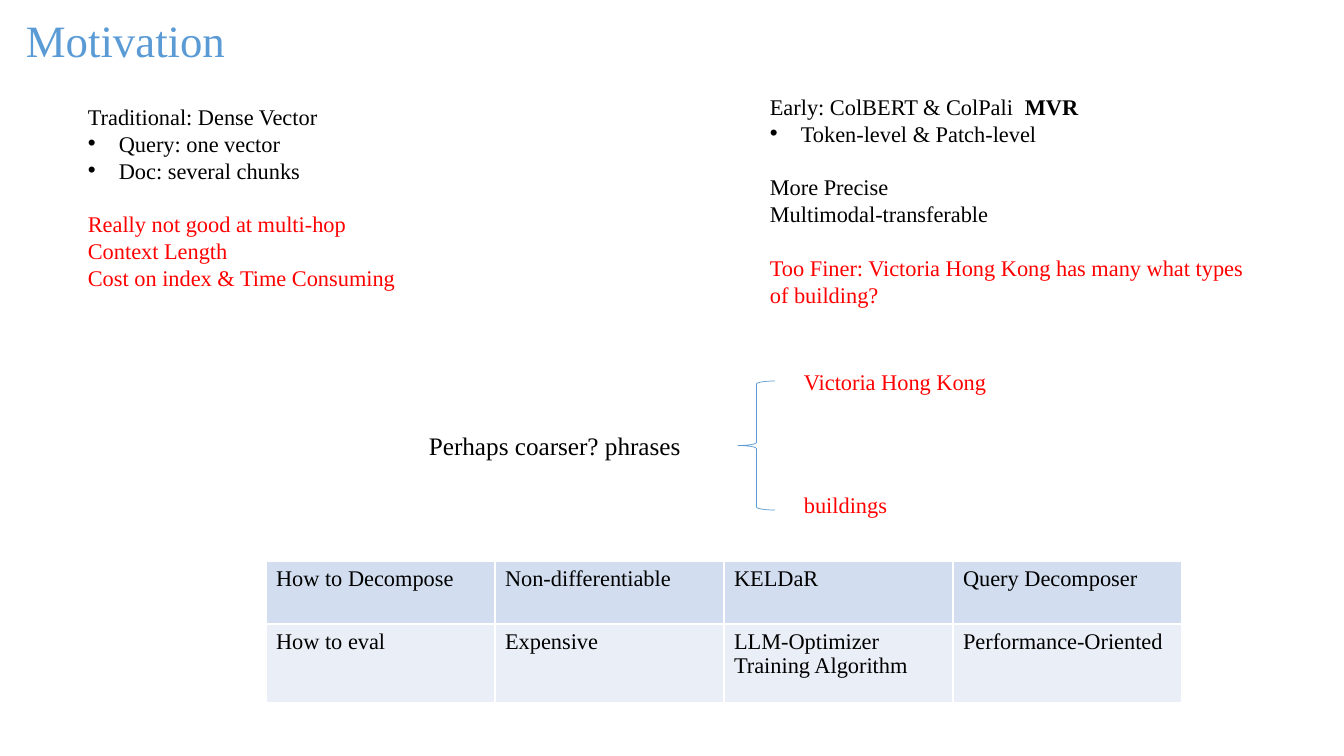
"""Build the Motivation slide: two retrieval approaches, a coarser idea and a table."""
from lxml import etree
from pptx import Presentation
from pptx.dml.color import RGBColor
from pptx.enum.shapes import MSO_SHAPE
from pptx.oxml.ns import qn
from pptx.util import Pt

LEFT_BRACE = MSO_SHAPE.LEFT_BRACE
PX = 914400 / 100.8
FONT = "Times New Roman"
LINE_RATIO = 1.2
BULLET_INDENT = 31
COLORS = {"accent": "5B9BD5", "text": "000000", "warning": "FF0000",
          "border": "FFFFFF", "header": "D2DEEF", "body": "EAEFF7"}

# Paragraph: (runs, color, style); a run is (text, bold)
TITLE = [([("Motivation", False)], "accent", "plain")]
TRADITIONAL = [
    ([("Traditional: Dense Vector", False)], "text", "plain"),
    ([("Query: one vector", False)], "text", "bullet"),
    ([("Doc: several chunks", False)], "text", "bullet"),
    ([("Really not good at multi-hop", False)], "warning", "gap"),
    ([("Context Length", False)], "warning", "plain"),
    ([("Cost on index & Time Consuming", False)], "warning", "plain"),
]
EARLY = [
    ([("Early: ColBERT & ColPali\t", False), ("MVR", True)], "text", "tab"),
    ([("Token-level & Patch-level", False)], "text", "bullet"),
    ([("More Precise", False)], "text", "gap"),
    ([("Multimodal-transferable", False)], "text", "plain"),
    ([("Too Finer: Victoria Hong Kong has many what types of building?", False)],
     "warning", "gap"),
]
COARSER = [([("Perhaps coarser? phrases", False)], "text", "plain")]
PLACE = [([("Victoria Hong Kong", False)], "warning", "plain")]
BUILDINGS = [([("buildings", False)], "warning", "plain")]

# (paragraphs, size in pt, (left, top, width, height) in px)
TEXTS = [
    (TITLE, 32, (16, 8, 231, 64)),
    (TRADITIONAL, 16, (78, 98, 507, 254)),
    (EARLY, 16, (760, 88, 507, 281)),
    (COARSER, 18, (419, 425, 290, 40)),
    (PLACE, 16, (794, 363, 229, 37)),
    (BUILDINGS, 16, (794, 486, 229, 37)),
]
BRACE_BOX = (738, 381, 37, 129)
MVR_TAB = 255

STEPS = [
    ("header", 63, [["How to Decompose"], ["Non-differentiable"], ["KELDaR"],
                    ["Query Decomposer"]]),
    ("body", 79, [["How to eval"], ["Expensive"],
                  ["LLM-Optimizer", "Training Algorithm"], ["Performance-Oriented"]]),
]
TABLE_LEFT, TABLE_TOP, COLUMN_WIDTH = 266, 561, 229


def px(length):
    return round(length * PX)


def color(name):
    return RGBColor.from_string(COLORS[name])


def add_run(paragraph, text, size, tone, bold=False):
    run = paragraph.add_run()
    run.text = text
    run.font.size = Pt(size)
    run.font.name = FONT
    run.font.bold = bold
    run.font.color.rgb = color(tone)


def style_paragraph(paragraph, style, size):
    properties = paragraph._p.get_or_add_pPr()
    if style == "bullet":
        properties.set("marL", str(px(BULLET_INDENT)))
        properties.set("indent", str(-px(BULLET_INDENT)))
        etree.SubElement(properties, qn("a:buFont"), typeface="Arial")
        etree.SubElement(properties, qn("a:buChar"), char="•")
    elif style == "tab":
        tabs = etree.SubElement(properties, qn("a:tabLst"))
        etree.SubElement(tabs, qn("a:tab"), pos=str(px(MVR_TAB)), algn="l")
    elif style == "gap":
        paragraph.space_before = Pt(size * LINE_RATIO)
    paragraph.line_spacing = Pt(size * LINE_RATIO)


def add_text(slide, paragraphs, size, box):
    frame = slide.shapes.add_textbox(*map(px, box)).text_frame
    frame.word_wrap = True
    for index, (runs, tone, style) in enumerate(paragraphs):
        paragraph = frame.add_paragraph() if index else frame.paragraphs[0]
        style_paragraph(paragraph, style, size)
        for text, bold in runs:
            add_run(paragraph, text, size, tone, bold)


def add_borders(cell):
    properties = cell._tc.get_or_add_tcPr()
    for side in ("lnL", "lnR", "lnT", "lnB"):
        line = etree.SubElement(properties, qn(f"a:{side}"), w=str(Pt(1)))
        fill = etree.SubElement(line, qn("a:solidFill"))
        etree.SubElement(fill, qn("a:srgbClr"), val=COLORS["border"])


def add_steps(slide):
    columns = len(STEPS[0][2])
    height = sum(row_height for _, row_height, _ in STEPS)
    table = slide.shapes.add_table(
        len(STEPS), columns, px(TABLE_LEFT), px(TABLE_TOP),
        px(COLUMN_WIDTH * columns), px(height)).table
    for column in table.columns:
        column.width = px(COLUMN_WIDTH)
    for row, (tone, row_height, entries) in enumerate(STEPS):
        table.rows[row].height = px(row_height)
        for column, lines in enumerate(entries):
            cell = table.cell(row, column)
            add_borders(cell)
            cell.fill.solid()
            cell.fill.fore_color.rgb = color(tone)
            frame = cell.text_frame
            for index, text in enumerate(lines):
                paragraph = frame.add_paragraph() if index else frame.paragraphs[0]
                add_run(paragraph, text, 16, "text")


def add_brace(slide):
    brace = slide.shapes.add_shape(LEFT_BRACE, *map(px, BRACE_BOX))
    brace.shadow.inherit = False
    brace.fill.background()
    brace.line.color.rgb = color("accent")
    brace.line.width = Pt(0.5)


def main():
    deck = Presentation()
    deck.slide_width, deck.slide_height = px(1344), px(756)
    slide = deck.slides.add_slide(deck.slide_layouts[6])
    for paragraphs, size, box in TEXTS:
        add_text(slide, paragraphs, size, box)
    add_brace(slide)
    add_steps(slide)
    deck.save("out.pptx")


if __name__ == "__main__":
    main()
